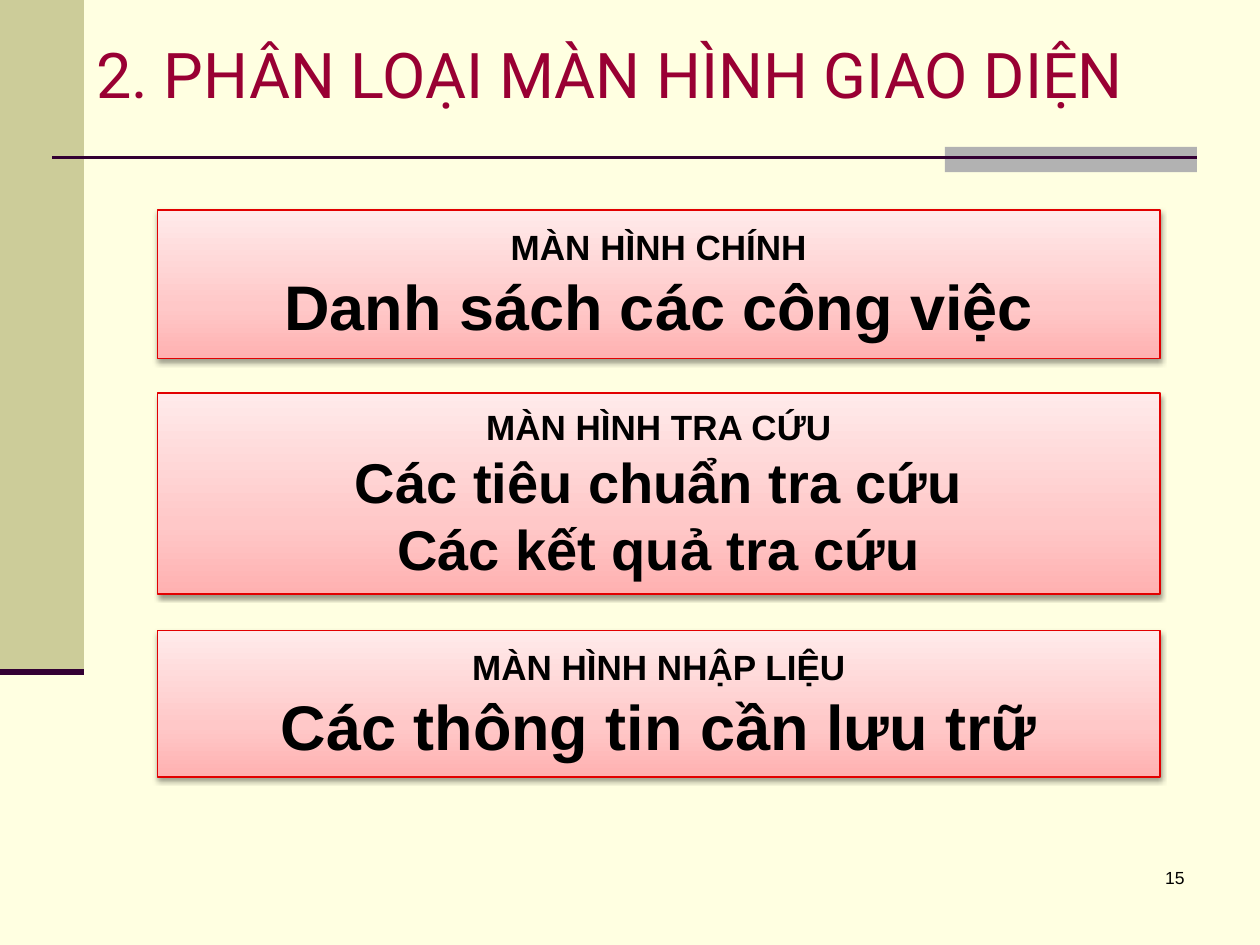
from copy import deepcopy
from dataclasses import dataclass

from lxml import etree
from pptx import Presentation
from pptx.dml.color import RGBColor
from pptx.enum.shapes import MSO_CONNECTOR, MSO_SHAPE
from pptx.enum.text import MSO_ANCHOR, PP_ALIGN
from pptx.oxml import parse_xml
from pptx.oxml.ns import nsdecls, qn
from pptx.util import Pt

RECT, STRAIGHT = MSO_SHAPE.RECTANGLE, MSO_CONNECTOR.STRAIGHT
TOP, MIDDLE = MSO_ANCHOR.TOP, MSO_ANCHOR.MIDDLE
LEFT, CENTER, RIGHT = PP_ALIGN.LEFT, PP_ALIGN.CENTER, PP_ALIGN.RIGHT


@dataclass(frozen=True)
class Theme:
    """Colours, fonts and type sizes of the slide."""
    background: str = "FFFFE1"
    sidebar: str = "CCCC99"
    accent: str = "B2B2B2"
    rule: str = "330033"
    title: str = "990033"
    text: str = "000000"
    card_line: str = "E20000"
    card_stops: tuple = ((0, "FFB1B1"), (0.35, "FFC8C8"), (1, "FFEAEA"))
    title_font: str = "Roboto"
    body_font: str = "Arial"
    title_size: int = 36
    heading_size: int = 20
    number_size: int = 10


THEME = Theme()
CARDS = (
    (120, 85, 36, "MÀN HÌNH CHÍNH", ("Danh sách các công việc",)),
    (224.5, 115, 32, "MÀN HÌNH TRA CỨU",
     ("Các tiêu chuẩn tra cứu", "Các kết quả tra cứu")),
    (360.5, 83.5, 36, "MÀN HÌNH NHẬP LIỆU", ("Các thông tin cần lưu trữ",)),
)


def rgb(value):
    """Return the colour for a hex string."""
    return RGBColor.from_string(value)


def add_block(slide, box, color):
    """Add a plain rectangle without outline."""
    s = slide.shapes.add_shape(RECT, *map(Pt, box))
    s.shadow.inherit = False
    s.fill.solid()
    s.fill.fore_color.rgb = rgb(color)
    s.line.fill.background()


def add_rule(slide, x1, x2, y, width):
    """Add a horizontal rule."""
    line = slide.shapes.add_connector(STRAIGHT, Pt(x1), Pt(y), Pt(x2), Pt(y))
    line.line.color.rgb = rgb(THEME.rule)
    line.line.width = Pt(width)
    etree.SubElement(line._element.spPr, qn("a:effectLst"))


def write_lines(tf, lines, font, color, align, bold=False):
    """Write (text, size) pairs, one paragraph each."""
    for i, (text, size) in enumerate(lines):
        p = tf.add_paragraph() if i else tf.paragraphs[0]
        p.alignment = align
        r = p.add_run()
        r.text = text
        r.font.name, r.font.size, r.font.bold = font, Pt(size), bold
        r.font.color.rgb = rgb(color)


def add_text(slide, box, line, font, color, align, anchor):
    """Add a wrapped text box with one line."""
    tf = slide.shapes.add_textbox(*map(Pt, box)).text_frame
    tf.word_wrap = True
    tf.vertical_anchor = anchor
    write_lines(tf, [line], font, color, align)


def fill_gradient(s):
    """Fill a shape with the card gradient, darkest at the bottom."""
    s.fill.gradient()
    s.fill.gradient_angle = 90
    stop_list = s._element.spPr.find(".//" + qn("a:gsLst"))
    stop_list.append(deepcopy(stop_list[0]))
    for stop, (position, color) in zip(s.fill.gradient_stops, THEME.card_stops):
        stop.position = position
        stop.color.rgb = rgb(color)


def add_shadow(s):
    """Give a shape a soft shadow below it."""
    s._element.spPr.append(parse_xml(
        f'<a:effectLst {nsdecls("a")}>'
        f'<a:outerShdw blurRad="{Pt(3.1)}" dist="{Pt(1.6)}" dir="5400000" '
        'rotWithShape="0"><a:srgbClr val="000000"><a:alpha val="38000"/>'
        '</a:srgbClr></a:outerShdw></a:effectLst>'))


def add_card(slide, box, heading, lines, size):
    """Add a card with a small heading above its large lines."""
    s = slide.shapes.add_shape(RECT, *map(Pt, box))
    fill_gradient(s)
    s.line.color.rgb = rgb(THEME.card_line)
    s.line.width = Pt(0.75)
    add_shadow(s)
    tf = s.text_frame
    tf.word_wrap = False
    tf.vertical_anchor = MIDDLE
    content = [(heading, THEME.heading_size)] + [(text, size) for text in lines]
    write_lines(tf, content, THEME.body_font, THEME.text, CENTER, bold=True)


def add_frame(slide, box):
    """Add the sidebar and the rules inside the slide box."""
    x, y, width, height = box
    add_block(slide, (x, y, 48, 384), THEME.sidebar)
    add_block(slide, (x + width - 180, y + 84, 144, 14.4), THEME.accent)
    add_rule(slide, x + 30, x + width - 36, y + 90, 1.5)
    add_rule(slide, x, x + 48, y + 384, 3.5)


def add_cards(slide, left, width):
    """Stack the cards in one column."""
    for top, height, size, heading, lines in CARDS:
        add_card(slide, (left, top, width, height), heading, lines, size)


def main():
    """Build and save the slide."""
    prs = Presentation()
    prs.slide_width, prs.slide_height = Pt(720), Pt(540)
    slide = prs.slides.add_slide(prs.slide_layouts[6])
    slide.background.fill.solid()
    slide.background.fill.fore_color.rgb = rgb(THEME.background)
    add_frame(slide, (0, 0, 720, 540))
    add_text(slide, (48, 0, 636, 84),
             ("2. PHÂN LOẠI MÀN HÌNH GIAO DIỆN", THEME.title_size),
             THEME.title_font, THEME.title, LEFT, MIDDLE)
    add_cards(slide, 90, 573)
    add_text(slide, (534, 492, 150, 36), ("15", THEME.number_size),
             THEME.body_font, THEME.text, RIGHT, TOP)
    prs.save("out.pptx")


if __name__ == "__main__":
    main()
